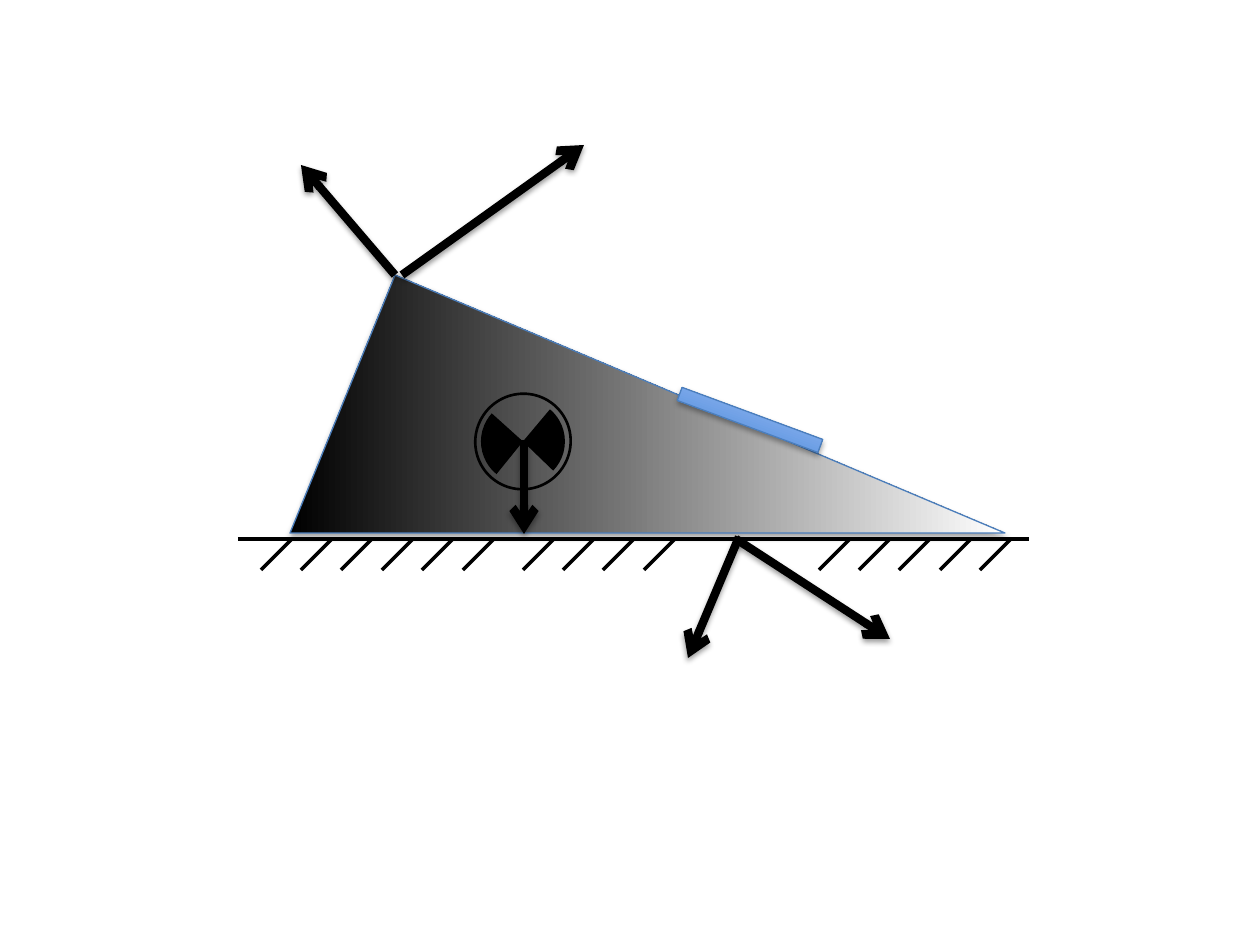
from lxml import etree
from pptx import Presentation
from pptx.dml.color import RGBColor
from pptx.enum.shapes import MSO_CONNECTOR, MSO_SHAPE
from pptx.oxml.ns import qn
from pptx.util import Emu, Pt

LINE = MSO_CONNECTOR.STRAIGHT
TRIANGLE = MSO_SHAPE.ISOSCELES_TRIANGLE
RECT = MSO_SHAPE.RECTANGLE
OVAL = MSO_SHAPE.OVAL
PIE = MSO_SHAPE.PIE

BLACK = RGBColor(0x00, 0x00, 0x00)
WHITE = RGBColor(0xFF, 0xFF, 0xFF)
EDGE = RGBColor(0x4B, 0x7E, 0xBC)
BLUE = RGBColor(0x3F, 0x80, 0xCE)
LIGHT_BLUE = RGBColor(0xA4, 0xC4, 0xFF)

PX_PER_INCH = 126


def px(n):
    return Emu(round(n * 914400 / PX_PER_INCH))


def add_effects(sp, opacity=0, dist=0):
    spPr = sp._element.spPr
    for old in spPr.findall(qn("a:effectLst")):
        spPr.remove(old)
    effects = etree.SubElement(spPr, qn("a:effectLst"))
    if opacity:
        shadow = etree.SubElement(effects, qn("a:outerShdw"), blurRad="40000",
                                  dist=str(dist), dir="5400000", rotWithShape="0")
        color = etree.SubElement(shadow, qn("a:srgbClr"), val=str(BLACK))
        etree.SubElement(color, qn("a:alpha"), val=str(opacity * 1000))


def add_line(s, x1, y1, x2, y2, width=2):
    line = s.shapes.add_connector(LINE, px(x1), px(y1), px(x2), px(y2))
    line.line.color.rgb = BLACK
    line.line.width = Pt(width)
    add_effects(line)
    return line


def add_arrow(s, x1, y1, x2, y2):
    arrow = add_line(s, x1, y1, x2, y2, 4.75)
    etree.SubElement(arrow.line._get_or_add_ln(), qn("a:tailEnd"), type="arrow")
    add_effects(arrow, 38, 20000)


def add_shape(s, kind, x, y, w, h, rotation=0):
    sp = s.shapes.add_shape(kind, px(x), px(y), px(w), px(h))
    sp.shadow.inherit = False
    sp.rotation = rotation
    return sp


def add_gradient_shape(s, kind, box, colors, angle, rotation=0):
    sp = add_shape(s, kind, *box, rotation)
    sp.fill.gradient()
    sp.fill.gradient_angle = angle
    for stop, color in zip(sp.fill.gradient_stops, colors):
        stop.color.rgb = color
    sp.line.color.rgb = EDGE
    sp.line.width = Pt(0.75)
    add_effects(sp, 35, 23000)
    return sp


def ground(s, x, y, w, h, first, count):
    add_line(s, x, y, x + w, y)
    for i in range(count):
        left = x + first + 202 * i // 5
        add_line(s, left, y + h, left + h, y)


def wedge(s, x, y, w, h):
    sp = add_gradient_shape(s, TRIANGLE, (x, y, w, h), (BLACK, WHITE), 0)
    sp.adjustments[0] = 0.147


def center_of_mass(s, x, y, w, h):
    ring = add_shape(s, OVAL, x, y, w, h, 311.6)
    ring.fill.background()
    ring.line.color.rgb = BLACK
    ring.line.width = Pt(1.5)
    size = 84
    for start, end in ((310, 44), (129, 222)):
        sector = add_shape(s, PIE, x + (w - size) / 2, y + (h - size) / 2, size, size)
        sector.adjustments[0] = start * 0.6
        sector.adjustments[1] = end * 0.6
        sector.fill.solid()
        sector.fill.fore_color.rgb = BLACK
        sector.line.fill.background()


def forces(s, *arrows):
    for arrow in arrows:
        add_arrow(s, *arrow)


def main():
    prs = Presentation()
    prs.slide_width, prs.slide_height = px(1260), px(945)
    s = prs.slides.add_slide(prs.slide_layouts[6])

    ground(s, 238, 539, 273, 31, 23, 6)
    ground(s, 500, 539, 273, 31, 23, 4)
    wedge(s, 290, 275, 715, 258)
    ground(s, 756, 539, 273, 31, 63, 5)
    forces(s, (402, 275, 584, 145), (395, 275, 301, 165))
    center_of_mass(s, 475, 394, 96, 95)
    forces(s, (736, 539, 890, 639), (739, 537, 688, 658))
    add_gradient_shape(s, RECT, (675, 413, 150, 14), (BLUE, LIGHT_BLUE), 90, 20.3)
    forces(s, (524, 440, 524, 534))

    prs.save("out.pptx")


if __name__ == "__main__":
    main()
